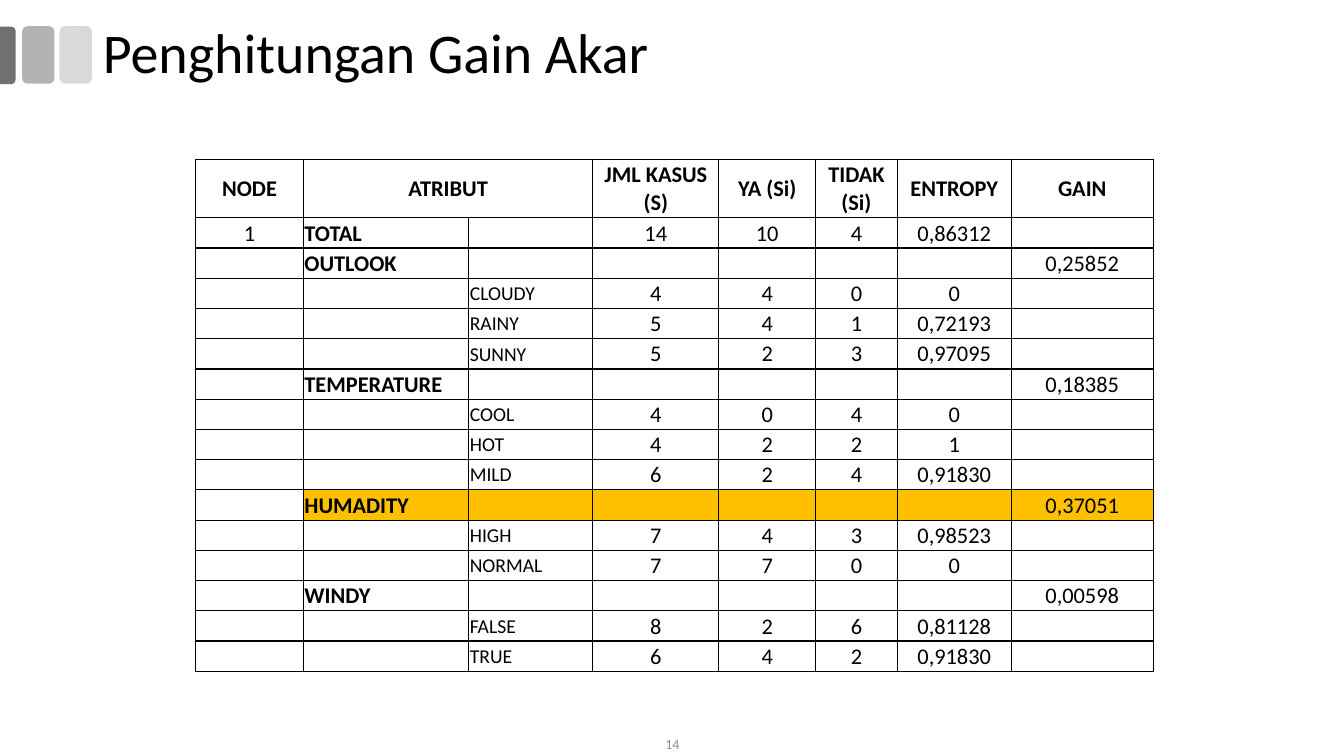
from lxml import etree
from pptx import Presentation
from pptx import util as u
from pptx.dml.color import RGBColor
from pptx.enum import shapes, text
from pptx.oxml import ns

THEME = {
    "font": "Calibri",
    "ink": RGBColor.from_string("000000"),
    "paper": RGBColor.from_string("FFFFFF"),
    "highlight": RGBColor.from_string("FFC000"),
    "muted": RGBColor.from_string("8C8C8C"),
    "bars": [RGBColor.from_string(code) for code in ("D9D9D9", "B3B3B3", "707070")],
    "title": 40,
    "group": 16,
    "value": 14,
    "number": 10,
}


def set_all(target, values):
    for name, value in values.items():
        setattr(target, name, value)


def style_text(para, size, color="ink", bold=False):
    set_all(para.font, {"name": THEME["font"], "size": u.Pt(size), "bold": bold})
    para.font.color.rgb = THEME[color]
    for span in para.runs:
        set_all(span.font, {"name": THEME["font"], "size": u.Pt(size), "bold": bold})
        span.font.color.rgb = THEME[color]


deck = Presentation()
set_all(deck, {"slide_width": u.Inches(13.33), "slide_height": u.Inches(7.5)})
page = deck.slides.add_slide(deck.slide_layouts[5])

bars = [
    (shapes.MSO_SHAPE.ROUNDED_RECTANGLE, 0.59, 0.26, 0.32, 0.57, 0),
    (shapes.MSO_SHAPE.ROUNDED_RECTANGLE, 0.22, 0.26, 0.32, 0.57, 0),
    (shapes.MSO_SHAPE.ROUND_2_SAME_RECTANGLE, -0.21, 0.47, 0.57, 0.16, 90),
]
for (kind, left, top, width, height, turn), color in zip(bars, THEME["bars"]):
    bar = page.shapes.add_shape(kind, u.Inches(left), u.Inches(top), u.Inches(width), u.Inches(height))
    bar.rotation = turn
    bar.shadow.inherit = False
    bar.fill.solid()
    bar.fill.fore_color.rgb = color
    bar.line.fill.background()
bar.adjustments[0] = 0.29

title = page.shapes.title
set_all(title, {"left": u.Inches(0.92), "top": u.Inches(0.17), "width": u.Inches(12.4), "height": u.Inches(0.75)})
set_all(title.text_frame, {
    "text": "Penghitungan Gain Akar",
    "vertical_anchor": text.MSO_ANCHOR.MIDDLE,
    "auto_size": text.MSO_AUTO_SIZE.NONE,
})
set_all(title.text_frame.paragraphs[0], {"alignment": text.PP_ALIGN.LEFT, "line_spacing": 0.9})
style_text(title.text_frame.paragraphs[0], THEME["title"])

number = page.shapes.add_textbox(u.Inches(5.17), u.Inches(7.25), u.Inches(3), u.Inches(0.25))
set_all(number.text_frame, {"text": "14", "word_wrap": True, "vertical_anchor": text.MSO_ANCHOR.MIDDLE})
number.text_frame.paragraphs[0].alignment = text.PP_ALIGN.CENTER
style_text(number.text_frame.paragraphs[0], THEME["number"], "muted")

header = ["NODE", "ATRIBUT", "", "JML KASUS (S)", "YA (Si)", "TIDAK (Si)", "ENTROPY", "GAIN"]
total = ["1", "TOTAL", "", "14", "10", "4", "0,86312", ""]
attributes = [
    ("OUTLOOK", "0,25852", [
        ("CLOUDY", "4", "4", "0", "0"),
        ("RAINY", "5", "4", "1", "0,72193"),
        ("SUNNY", "5", "2", "3", "0,97095"),
    ]),
    ("TEMPERATURE", "0,18385", [
        ("COOL", "4", "0", "4", "0"),
        ("HOT", "4", "2", "2", "1"),
        ("MILD", "6", "2", "4", "0,91830"),
    ]),
    ("HUMADITY", "0,37051", [
        ("HIGH", "7", "4", "3", "0,98523"),
        ("NORMAL", "7", "7", "0", "0"),
    ]),
    ("WINDY", "0,00598", [
        ("FALSE", "8", "2", "6", "0,81128"),
        ("TRUE", "6", "4", "2", "0,91830"),
    ]),
]
rows = [header, total]
for attribute, gain, cases in attributes:
    rows.append(["", attribute, "", "", "", "", "", gain])
    rows.extend(["", "", *case, ""] for case in cases)

widths = [1.07, 1.64, 1.23, 1.25, 0.96, 0.81, 1.13, 1.41]
frame = page.shapes.add_table(
    len(rows), len(widths), u.Inches(1.94), u.Inches(1.58), u.Inches(9.51), u.Inches(5.06)
)
table = frame.table
set_all(table, {"first_row": False, "horz_banding": False})
for column, width in zip(table.columns, widths):
    column.width = u.Inches(width)
for index, row in enumerate(table.rows):
    row.height = u.Inches(0.3 if index else 0.58)
table.cell(0, 1).merge(table.cell(0, 2))

for r, values in enumerate(rows):
    for c, value in enumerate(values):
        cell = table.cell(r, c)
        set_all(cell, {
            "text": value,
            "vertical_anchor": text.MSO_ANCHOR.MIDDLE,
            "margin_left": u.Inches(0.01),
            "margin_right": u.Inches(0.01),
            "margin_top": u.Inches(0.01),
            "margin_bottom": 0,
        })
        para = cell.text_frame.paragraphs[0]
        is_label = r > 0 and c in (1, 2)
        para.alignment = text.PP_ALIGN.LEFT if is_label else text.PP_ALIGN.CENTER
        size = THEME["value"] if r > 0 and c == 2 else THEME["group"]
        style_text(para, size, bold=r == 0 or c == 1)
        etree.SubElement(para._p, ns.qn("a:endParaRPr"), sz=str(size * 100))
        for side in ("lnL", "lnR", "lnT", "lnB"):
            border = etree.SubElement(cell._tc.get_or_add_tcPr(), ns.qn(f"a:{side}"), w=str(u.Pt(1)))
            paint = etree.SubElement(border, ns.qn("a:solidFill"))
            etree.SubElement(paint, ns.qn("a:srgbClr"), val=str(THEME["ink"]))
        cell.fill.solid()
        highlighted = values[1] == "HUMADITY" and c > 0
        cell.fill.fore_color.rgb = THEME["highlight" if highlighted else "paper"]

deck.save("out.pptx")
